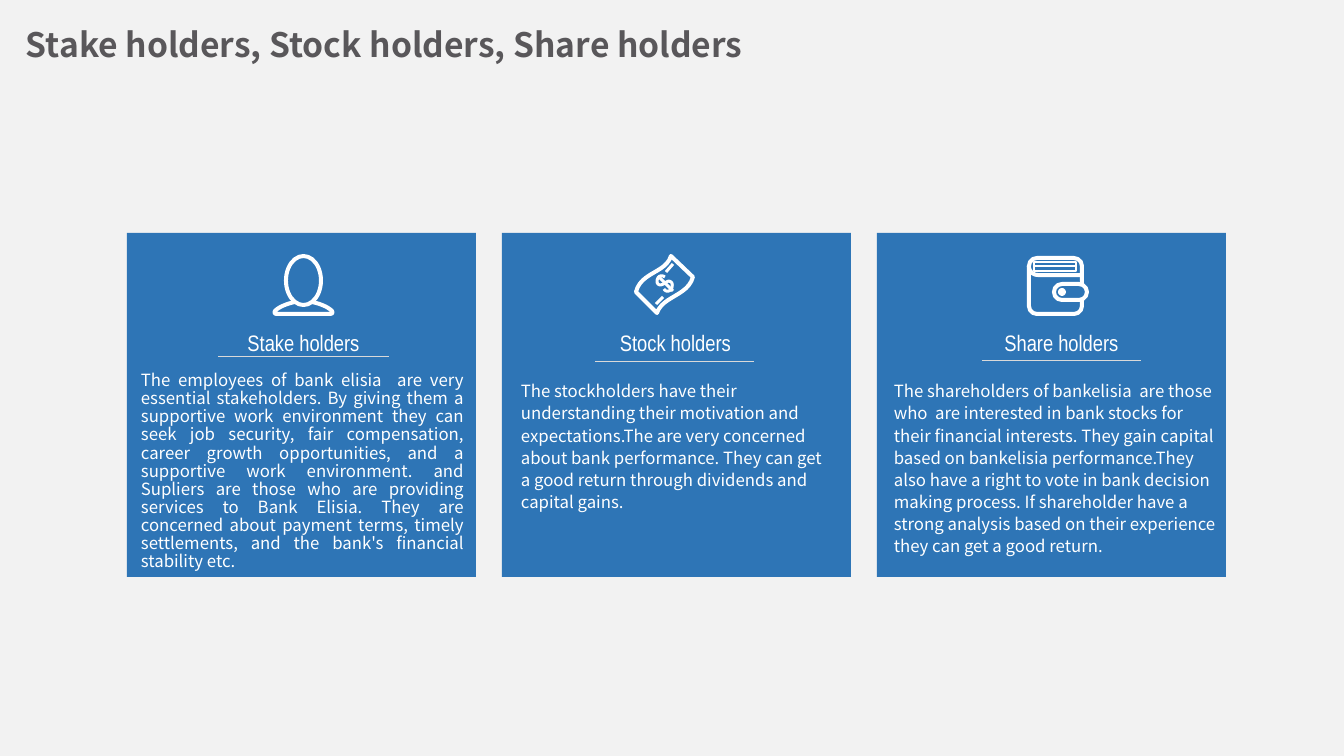
from lxml import etree
from pptx import Presentation
from pptx import util as u
from pptx.dml.color import RGBColor
from pptx.enum import shapes, text
from pptx.oxml.ns import qn

PX = u.Inches(1) / 100.8
COLORS = {"page": "F2F2F2", "card": "2E75B6", "ink": "FFFFFF",
          "rule": "D9D9D9", "title": "59575A"}
BODY_FONT, HEAD_FONT = "Noto Sans CJK SC", "Arial Narrow"
CURVE_STEPS = 12
STROKE = 4


def px(length):
    return u.Emu(round(length * PX))


def color(name):
    return RGBColor.from_string(COLORS[name])


def add_label(slide, box, words, font, size, ink="ink", bold=False,
              align=None, spacing=None):
    frame = slide.shapes.add_textbox(*map(px, box)).text_frame
    frame.word_wrap = True
    frame.text = words
    paragraph = frame.paragraphs[0]
    paragraph.alignment = align
    if spacing:
        paragraph.line_spacing = spacing
        paragraph.space_before = u.Pt(10)
    run = paragraph.runs[0]
    run.font.name, run.font.size, run.font.bold = font, u.Pt(size), bold
    run.font.color.rgb = color(ink)


def paint(shape, fill=None, stroke=None):
    shape.shadow.inherit = False
    if fill:
        shape.fill.solid()
        shape.fill.fore_color.rgb = color(fill)
    else:
        shape.fill.background()
    if stroke:
        shape.line.color.rgb = color("ink")
        shape.line.width = px(stroke)
    else:
        shape.line.fill.background()


def add_preset(slide, kind, box, fill=None, stroke=None, radius=None):
    shape = slide.shapes.add_shape(kind, *map(px, box))
    if radius is not None:
        shape.adjustments[0] = radius
    paint(shape, fill, stroke)


def add_rule(slide, start, end, ink="ink", width=2):
    rule = slide.shapes.add_connector(
        shapes.MSO_CONNECTOR.STRAIGHT, *map(px, start + end))
    rule.line.color.rgb = color(ink)
    rule.line.width = px(width)
    etree.SubElement(rule._element.spPr, qn("a:effectLst"))


def add_outline(slide, origin, start, steps, close=False, stroke=STROKE):
    """Stroke steps of one point (a line) or three points (a cubic curve)."""
    points = [start]
    for step in steps:
        if len(step) == 1:
            points += step
            continue
        controls = [points[-1], *step]
        for i in range(1, CURVE_STEPS + 1):
            t = i / CURVE_STEPS
            weights = ((1 - t) ** 3, 3 * t * (1 - t) ** 2, 3 * t * t * (1 - t), t ** 3)
            points.append(tuple(sum(w * c[axis] for w, c in zip(weights, controls))
                                for axis in (0, 1)))
    placed = [(px(origin[0] + x), px(origin[1] + y)) for x, y in points]
    builder = slide.shapes.build_freeform(*placed[0])
    builder.add_line_segments(placed[1:], close=close)
    paint(builder.convert_to_shape(), stroke=stroke)


def draw_person(slide, x, y):
    add_preset(slide, shapes.MSO_SHAPE.OVAL, (x + 13, y + 2, 35, 49), stroke=STROKE)
    add_outline(slide, (x, y), (22, 48), [
        [(13, 50), (6, 53), (2, 57)], [(1, 59), (2, 60), (4, 60)],
        [(57, 60)],
        [(59, 60), (60, 59), (59, 57)], [(55, 53), (48, 50), (39, 48)]])


def draw_banknote(slide, x, y):
    add_outline(slide, (x, y), (23, 59), [
        [(2, 38)], [(7, 18), (32, 19), (37, 2)],
        [(59, 23)], [(54, 42), (29, 42), (23, 59)]], close=True)
    add_outline(slide, (x, y), (31, 23), [
        [(24, 18), (20, 30), (26, 31)], [(31, 31), (34, 24), (38, 29)],
        [(40, 36), (33, 40), (30, 35)]], stroke=3)
    for start, end in [((24, 22), (39, 37)), ((22, 50), (29, 43)), ((32, 18), (39, 10))]:
        add_rule(slide, (x + start[0], y + start[1]), (x + end[0], y + end[1]), width=3)


def draw_wallet(slide, x, y):
    rounded = shapes.MSO_SHAPE.ROUNDED_RECTANGLE
    add_preset(slide, rounded, (x + 2, y + 2, 53, 56), stroke=STROKE, radius=0.15)
    add_outline(slide, (x, y), (2, 10), [[(2, 15), (6, 19), (11, 19)], [(55, 19)]])
    add_preset(slide, shapes.MSO_SHAPE.RECTANGLE, (x + 7, y + 6, 42, 9), stroke=2)
    add_rule(slide, (x + 7, y + 10), (x + 49, y + 10))
    add_preset(slide, rounded, (x + 27, y + 28, 33, 16), "card", STROKE, radius=0.5)
    add_preset(slide, shapes.MSO_SHAPE.OVAL, (x + 31, y + 32, 8, 8), "ink")


CARD_TOP, CARD_PITCH, CARD_LEFT = 233, 375, 127
CARD_SIZE = (349, 344)
# Offsets inside the card: heading left, rule (left, top, width), icon, body box
CARDS = [
    dict(heading="Stake holders", heading_left=42, rule=(91, 124, 171),
         icon=draw_person, icon_at=(146, 21),
         body_box=(4, 134, 343, 174), align=text.PP_ALIGN.JUSTIFY, spacing=0.9,
         body="The employees of bank elisia  are very essential stakeholders. By giving "
              "them a supportive work environment they can seek job security, fair "
              "compensation, career growth opportunities, and a supportive work "
              "environment. and Supliers are those who are providing services to Bank "
              "Elisia. They are concerned about payment terms, timely settlements, and "
              "the bank's financial stability etc."),
    dict(heading="Stock holders", heading_left=39, rule=(93, 129, 159),
         icon=draw_banknote, icon_at=(132, 21),
         body_box=(9, 141, 325, 178), align=None, spacing=1.1,
         body="The stockholders have their understanding their motivation and  "
              "expectations.The are very concerned about bank performance. They can get "
              "a good return through dividends and capital gains."),
    dict(heading="Share holders", heading_left=50, rule=(105, 128, 159),
         icon=draw_wallet, icon_at=(150, 23),
         body_box=(7, 141, 349, 188), align=None, spacing=1.1,
         body="The shareholders of bankelisia  are those who  are interested in bank "
              "stocks for their financial interests. They gain capital based on "
              "bankelisia performance.They also have a right to vote in bank decision "
              "making process. If shareholder have a strong analysis based on their "
              "experience they can get a good return."),
]


def add_card(slide, left, top, card):
    add_preset(slide, shapes.MSO_SHAPE.RECTANGLE, (left, top, *CARD_SIZE), "card")
    icon_x, icon_y = card["icon_at"]
    card["icon"](slide, left + icon_x, top + icon_y)
    add_label(slide, (left + card["heading_left"], top + 94, 269, 31), card["heading"],
              HEAD_FONT, 16, align=text.PP_ALIGN.CENTER, spacing=0.9)
    rule_x, rule_y, rule_width = card["rule"]
    add_rule(slide, (left + rule_x, top + rule_y),
             (left + rule_x + rule_width, top + rule_y), "rule", 1)
    body_x, body_y, *body_size = card["body_box"]
    add_label(slide, (left + body_x, top + body_y, *body_size), card["body"],
              BODY_FONT, 12, align=card["align"], spacing=card["spacing"])


def main():
    deck = Presentation()
    deck.slide_width, deck.slide_height = px(1344), px(756)
    slide = deck.slides.add_slide(deck.slide_layouts[6])
    slide.background.fill.solid()
    slide.background.fill.fore_color.rgb = color("page")
    add_label(slide, (16, 19, 780, 66), "Stake holders, Stock holders, Share holders",
              BODY_FONT, 24, "title", bold=True)
    for column, card in enumerate(CARDS):
        add_card(slide, CARD_LEFT + column * CARD_PITCH, CARD_TOP, card)
    deck.save("out.pptx")


if __name__ == "__main__":
    main()
